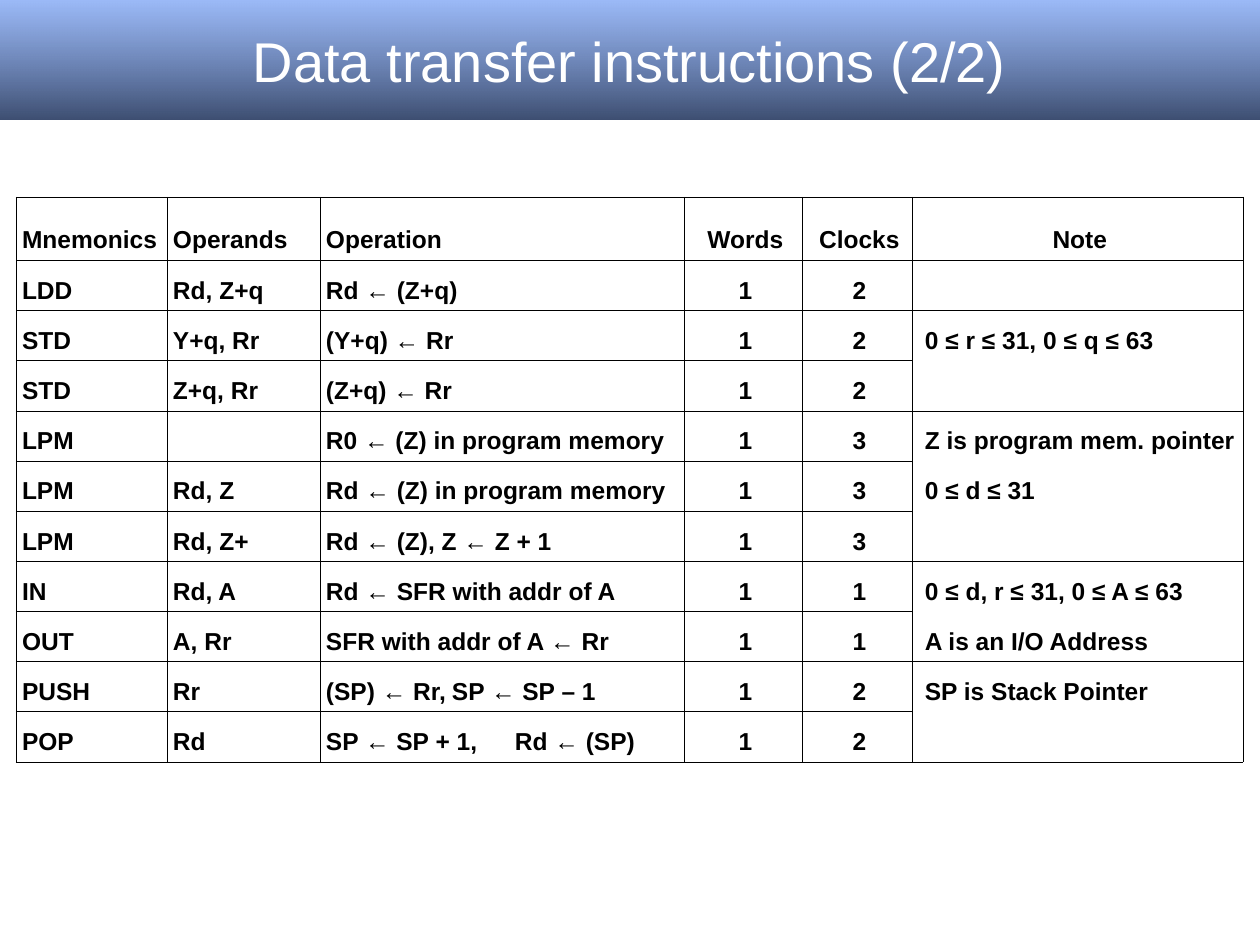
from lxml import etree
from pptx import Presentation, util as u
from pptx.dml.color import RGBColor
from pptx.enum import shapes, text
from pptx.oxml.ns import qn

FONT = "Arial"
INK = "000000"
LEFT, MID = text.PP_ALIGN.LEFT, text.PP_ALIGN.CENTER

COLS = [151, 153, 364, 118, 110, 331]
HEAD, ROW = 63, 50
NOTE = 5
STARTS = {0, 1, 2, 4, 7, 9, 11}
TABS = {"PUSH": 141, "POP": 165}
ROWS = [
    ["Mnemonics", "Operands", "Operation", "Words", "Clocks", "Note"],
    ["LDD", "Rd, Z+q", "Rd ← (Z+q)", "1", "2", ""],
    ["STD", "Y+q, Rr", "(Y+q) ← Rr", "1", "2", "0 ≤ r ≤ 31, 0 ≤ q ≤ 63"],
    ["STD", "Z+q, Rr", "(Z+q) ← Rr", "1", "2", ""],
    ["LPM", "", "R0 ← (Z) in program memory", "1", "3", "Z is program mem. pointer"],
    ["LPM", "Rd, Z", "Rd ← (Z) in program memory", "1", "3", "0 ≤ d ≤ 31"],
    ["LPM", "Rd, Z+", "Rd ← (Z), Z ← Z + 1", "1", "3", ""],
    ["IN", "Rd, A", "Rd ← SFR with addr of A", "1", "1", "0 ≤ d, r ≤ 31, 0 ≤ A ≤ 63"],
    ["OUT", "A, Rr", "SFR with addr of A ← Rr", "1", "1", "A is an I/O Address"],
    ["PUSH", "Rr", "(SP) ← Rr,\tSP ← SP – 1", "1", "2", "SP is Stack Pointer"],
    ["POP", "Rd", "SP ← SP + 1,\tRd ← (SP)", "1", "2", ""],
    [""] * 6,
]


def px(n):
    """Turn px into EMU."""
    return u.Emu(round(n * 914400 / 126))


def hue(code):
    """Turn a hex string into a colour."""
    return RGBColor.from_string(code)


def style(para, size, code, bold, align):
    """Format a paragraph and its runs."""
    para.alignment = align
    for run in para.runs:
        font = run.font
        font.name, font.size, font.bold = FONT, u.Pt(size), bold
        font.color.rgb = hue(code)


def banner(slide, x, y, w, h, title):
    """Draw the gradient title bar in the given box."""
    bar = slide.shapes.add_shape(
        shapes.MSO_SHAPE.RECTANGLE, px(x), px(y), px(w), px(h))
    bar.shadow.inherit = False
    bar.line.fill.background()
    bar.fill.gradient()
    bar.fill.gradient_angle = 270
    for stop, code in zip(bar.fill.gradient_stops, ("86ABF6", "3E4F72")):
        stop.color.rgb = hue(code)
    top = next(bar._element.iter(qn("a:srgbClr")))
    etree.SubElement(top, qn("a:alpha"), val="82000")
    frame = bar.text_frame
    frame.word_wrap = True
    frame.vertical_anchor = text.MSO_ANCHOR.MIDDLE
    frame.text = title
    style(frame.paragraphs[0], 32, "FFFFFF", False, MID)


def edge(cell, side, shown):
    """Add one border line to a cell, visible or not."""
    line = etree.SubElement(
        cell._tc.get_or_add_tcPr(), qn("a:ln" + side), w=str(u.Pt(0.23)))
    if shown:
        fill = etree.SubElement(line, qn("a:solidFill"))
        etree.SubElement(fill, qn("a:srgbClr"), val=INK)
    else:
        etree.SubElement(line, qn("a:noFill"))


def frame(cell, row, col):
    """Rule a cell, leaving the rows of one note open to each other."""
    body = row < len(ROWS) - 1
    edge(cell, "L", body)
    edge(cell, "R", body)
    edge(cell, "T", col != NOTE or row in STARTS)
    edge(cell, "B", body and (col != NOTE or row + 1 in STARTS))
    cell.fill.background()


def write(cell, row, col):
    """Put the words of one cell in place."""
    cell.margin_left = cell.margin_right = px(1)
    cell.margin_top = cell.margin_bottom = px(6)
    cell.vertical_anchor = text.MSO_ANCHOR.BOTTOM
    words = ROWS[row][col]
    cell.text_frame.text = words
    para = cell.text_frame.paragraphs[0]
    note = col == NOTE and row > 0
    props = para._p.get_or_add_pPr()
    props.set("marL", str(px(12 if note else 5)))
    props.set("indent", "0")
    if "\t" in words:
        tabs = etree.SubElement(props, qn("a:tabLst"))
        stop = px(TABS[ROWS[row][0]])
        etree.SubElement(tabs, qn("a:tab"), pos=str(stop), algn="l")
    style(para, 14, INK, True, MID if col > 2 and not note else LEFT)


def grid(slide, x, y):
    """Draw the instruction table from its top left corner."""
    high = HEAD + ROW * (len(ROWS) - 1)
    table = slide.shapes.add_table(
        len(ROWS), len(COLS), px(x), px(y), px(sum(COLS)), px(high)).table
    table.first_row = table.horz_banding = False
    for col, wide in enumerate(COLS):
        table.columns[col].width = px(wide)
    for row in range(len(ROWS)):
        table.rows[row].height = px(ROW if row else HEAD)
        for col in range(len(COLS)):
            cell = table.cell(row, col)
            frame(cell, row, col)
            write(cell, row, col)


def main():
    """Build and save the slide."""
    deck = Presentation()
    deck.slide_width, deck.slide_height = px(1260), px(945)
    slide = deck.slides.add_slide(deck.slide_layouts[6])
    banner(slide, 0, 0, 1260, 120, "Data transfer instructions (2/2)")
    grid(slide, 16, 197)
    deck.save("out.pptx")


if __name__ == "__main__":
    main()
